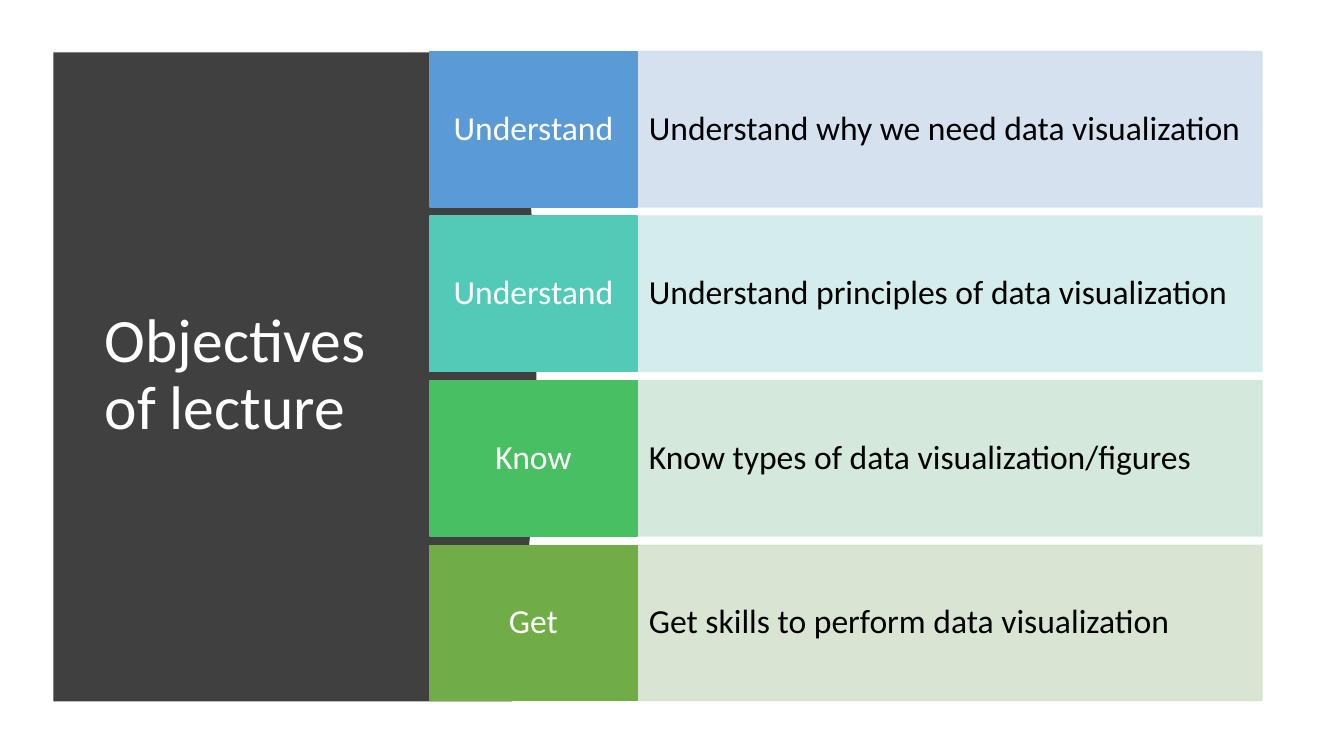
import pptx
import pptx.util
import pptx.dml.color
import pptx.enum.shapes
import pptx.enum.text
import pptx.oxml.ns
import lxml.etree

Pt = pptx.util.Pt
ALIGN = pptx.enum.text.PP_ALIGN

COLORS = {
    "panel": "404040",
    "light_text": "FFFFFF",
    "dark_text": "000000",
    "blue": "5B9BD5",
    "blue_tint": "D2DEEF",
    "teal": "52CAB8",
    "teal_tint": "D0ECEA",
    "green": "49BF64",
    "green_tint": "D0E7D8",
    "olive": "70AD47",
    "olive_tint": "D5E3CF",
}

OBJECTIVES = [
    ("Understand", "Understand why we need data visualization", "blue"),
    ("Understand", "Understand principles of data visualization", "teal"),
    ("Know", "Know types of data visualization/figures", "green"),
    ("Get", "Get skills to perform data visualization", "olive"),
]

PANEL_EDGE = [
    (327.6, 0), (331.9, 26.6), (334.8, 48.2), (337, 69.8), (339.1, 91.4),
    (341.3, 113), (342.7, 133.9), (344.2, 165.6), (344.9, 196.6),
    (344.9, 246.2), (344.2, 274.3), (342.7, 301.7), (341.3, 335.5),
    (338.4, 366.5), (334.8, 406.8), (331.2, 438.5), (327.6, 463.7),
]


def rgb(name):
    return pptx.dml.color.RGBColor.from_string(COLORS[name])


def paint(shape, color, opacity=100):
    shape.shadow.inherit = False
    shape.fill.solid()
    shape.fill.fore_color.rgb = rgb(color)
    shape.line.width = Pt(1)
    shape.line.color.rgb = rgb(color)
    if opacity < 100:
        tag = pptx.oxml.ns.qn("a:srgbClr")
        for tint in shape.element.spPr.iter(tag):
            alpha = lxml.etree.SubElement(tint, pptx.oxml.ns.qn("a:alpha"))
            alpha.set("val", str(opacity * 1000))


def write(shape, words, size, color, align, inset_x, inset_y, after=0):
    frame = shape.text_frame
    frame.word_wrap = True
    frame.vertical_anchor = pptx.enum.text.MSO_ANCHOR.MIDDLE
    frame.margin_left = frame.margin_right = Pt(inset_x)
    frame.margin_top = frame.margin_bottom = Pt(inset_y)
    paragraph = frame.paragraphs[0]
    paragraph.alignment = align
    paragraph.line_spacing = 0.9
    paragraph.space_after = Pt(after)
    run = paragraph.add_run()
    run.text = words
    run.font.name = "Calibri"
    run.font.size = Pt(size)
    run.font.color.rgb = rgb(color)


def add_title_panel(slide, left, top, height):
    edge = [(Pt(left + x), Pt(top + y)) for x, y in PANEL_EDGE]
    outline = slide.shapes.build_freeform(Pt(left), Pt(top), scale=1.0)
    outline.add_line_segments(edge + [(Pt(left), Pt(top + height))], close=True)
    panel = outline.convert_to_shape()
    paint(panel, "panel")
    panel.line.fill.background()

    title = slide.shapes.add_textbox(
        Pt(left + 29.5), Pt(top + 42.5), Pt(221.8), Pt(377.3))
    write(title, "Objectives of lecture", 44, "light_text", ALIGN.LEFT, 7.2, 3.6)


def add_block(slide, left, top, width, height):
    return slide.shapes.add_shape(
        pptx.enum.shapes.MSO_SHAPE.RECTANGLE,
        Pt(left), Pt(top), Pt(width), Pt(height))


def add_objectives(slide, left, top, width, height):
    gap = 6.65
    row_height = (height - gap * (len(OBJECTIVES) - 1)) / len(OBJECTIVES)
    verb_width = width * 0.2486
    for index, (verb, objective, color) in enumerate(OBJECTIVES):
        row_top = top + index * (row_height + gap)
        goal = add_block(slide, left + verb_width, row_top,
                         width - verb_width, row_height)
        paint(goal, color + "_tint", 90)
        write(goal, objective, 24, "dark_text", ALIGN.LEFT, 8.6, 28.1, 8.4)

        action = add_block(slide, left, row_top, verb_width, row_height)
        paint(action, color)
        write(action, verb, 24, "light_text", ALIGN.CENTER, 5.8, 10.8, 8.4)


def main():
    deck = pptx.Presentation()
    deck.slide_width = Pt(960)
    deck.slide_height = Pt(540)
    slide = deck.slides.add_slide(deck.slide_layouts[6])
    add_title_panel(slide, 38.2, 37.4, 463.7)
    add_objectives(slide, 307.2, 36.9, 594.2, 463.5)
    deck.save("out.pptx")


if __name__ == "__main__":
    main()
